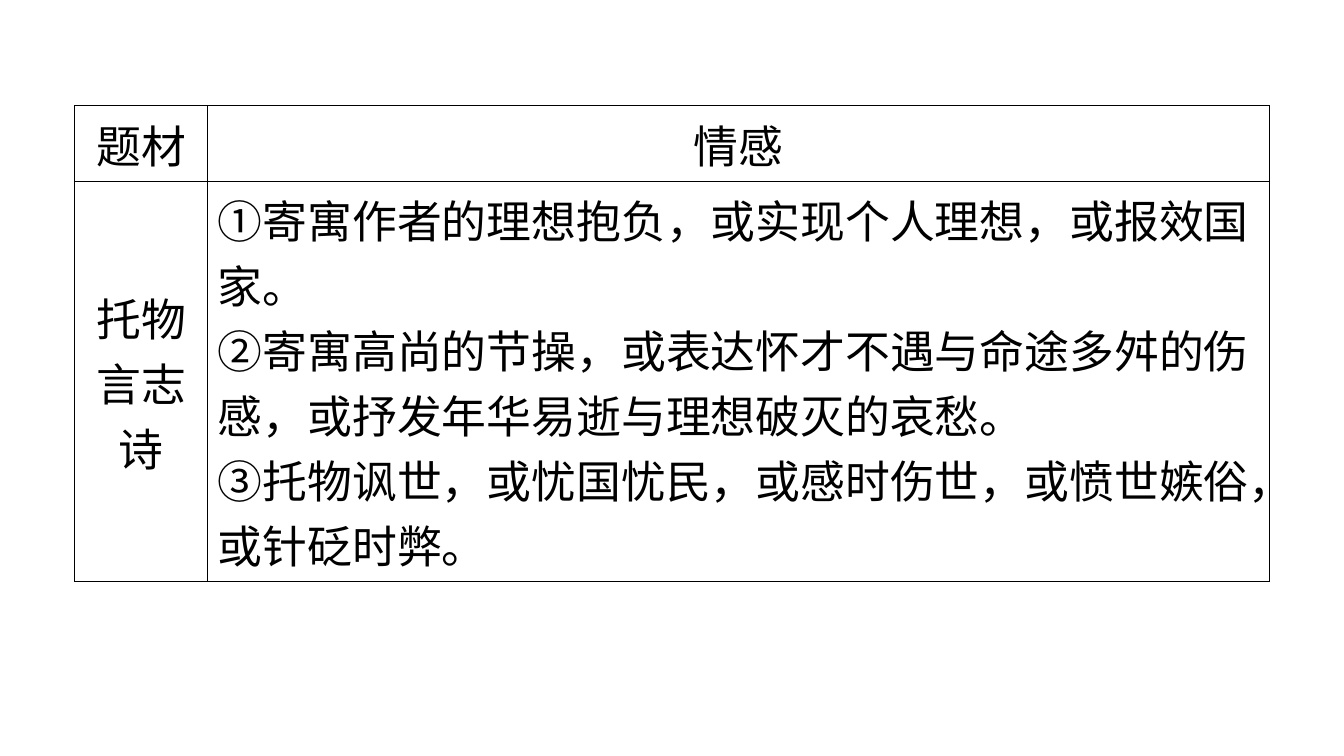
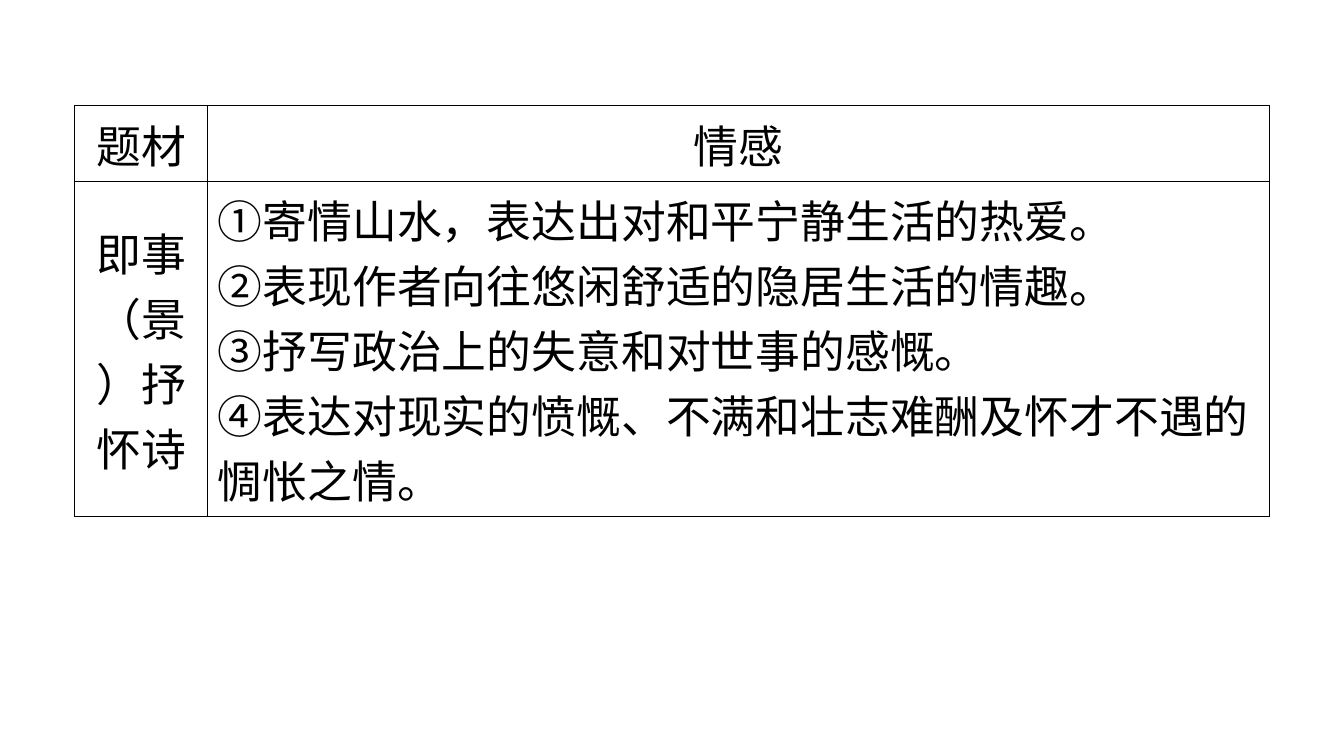
from dataclasses import dataclass

from lxml.etree import SubElement
from pptx import Presentation
from pptx.dml.color import RGBColor
from pptx.enum.lang import MSO_LANGUAGE_ID
from pptx.enum.text import MSO_ANCHOR, PP_ALIGN
from pptx.oxml.ns import qn
from pptx.util import Inches, Pt


@dataclass(frozen=True)
class Theme:
    font: str = "Calibri"
    size: int = 32
    ink: str = "000000"
    border: int = 1


THEME = Theme()
LEFT, TOP = 0.74, 1.05
COLUMN_WIDTHS = (1.32, 10.53)
HEADER_HEIGHT = 0.75
HEADINGS = ("题材", "情感")

TOPICS = (
    (
        "托物言志诗",
        (
            "①寄寓作者的理想抱负，或实现个人理想，或报效国家。",
            "②寄寓高尚的节操，或表达怀才不遇与命途多舛的伤感，或抒发年华易逝与理想破灭的哀愁。",
            "③托物讽世，或忧国忧民，或感时伤世，或愤世嫉俗，或针砭时弊。",
        ),
        3.97,
    ),
    (
        "即事（景）抒怀诗",
        (
            "①寄情山水，表达出对和平宁静生活的热爱。",
            "②表现作者向往悠闲舒适的隐居生活的情趣。",
            "③抒写政治上的失意和对世事的感慨。",
            "④表达对现实的愤慨、不满和壮志难酬及怀才不遇的惆怅之情。",
        ),
        3.32,
    ),
)


def add_borders(cell):
    properties = cell._tc.get_or_add_tcPr()
    for side in ("a:lnL", "a:lnR", "a:lnT", "a:lnB"):
        line = SubElement(properties, qn(side), w=str(Pt(THEME.border)))
        fill = SubElement(line, qn("a:solidFill"))
        SubElement(fill, qn("a:srgbClr"), val=THEME.ink)


def fill_cell(cell, lines, alignment):
    add_borders(cell)
    cell.fill.background()
    cell.vertical_anchor = MSO_ANCHOR.MIDDLE
    cell.text_frame.text = "\n".join(lines)
    for para in cell.text_frame.paragraphs:
        para.alignment = alignment
        for span in para.runs:
            span.font.name = THEME.font
            span.font.size = Pt(THEME.size)
            span.font.bold = False
            span.font.color.rgb = RGBColor.from_string(THEME.ink)
            span.font.language_id = MSO_LANGUAGE_ID.SIMPLIFIED_CHINESE


def add_topic_table(page, topic, feelings, body_height):
    row_heights = (HEADER_HEIGHT, body_height)
    table = page.shapes.add_table(
        len(row_heights), len(COLUMN_WIDTHS), Inches(LEFT), Inches(TOP),
        Inches(sum(COLUMN_WIDTHS)), Inches(sum(row_heights)),
    ).table
    table.first_row = True
    table.horz_banding = False
    for column, width in zip(table.columns, COLUMN_WIDTHS):
        column.width = Inches(width)
    for row, height in zip(table.rows, row_heights):
        row.height = Inches(height)
    for index, heading in enumerate(HEADINGS):
        fill_cell(table.cell(0, index), (heading,), PP_ALIGN.CENTER)
    fill_cell(table.cell(1, 0), (topic,), PP_ALIGN.CENTER)
    fill_cell(table.cell(1, 1), feelings, PP_ALIGN.LEFT)


def main():
    deck = Presentation()
    deck.slide_width, deck.slide_height = Inches(13.33), Inches(7.5)
    for topic, feelings, body_height in TOPICS:
        page = deck.slides.add_slide(deck.slide_layouts[6])
        add_topic_table(page, topic, feelings, body_height)
    deck.save("out.pptx")


if __name__ == "__main__":
    main()
